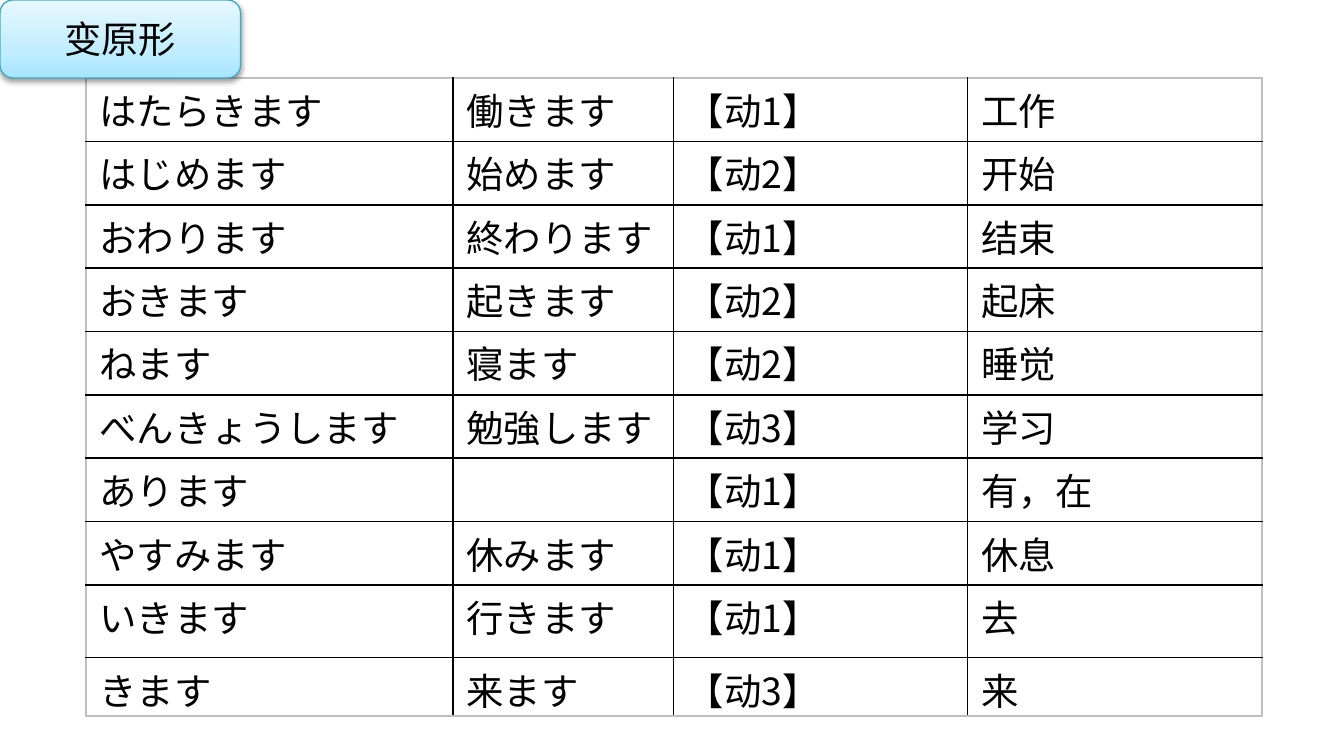
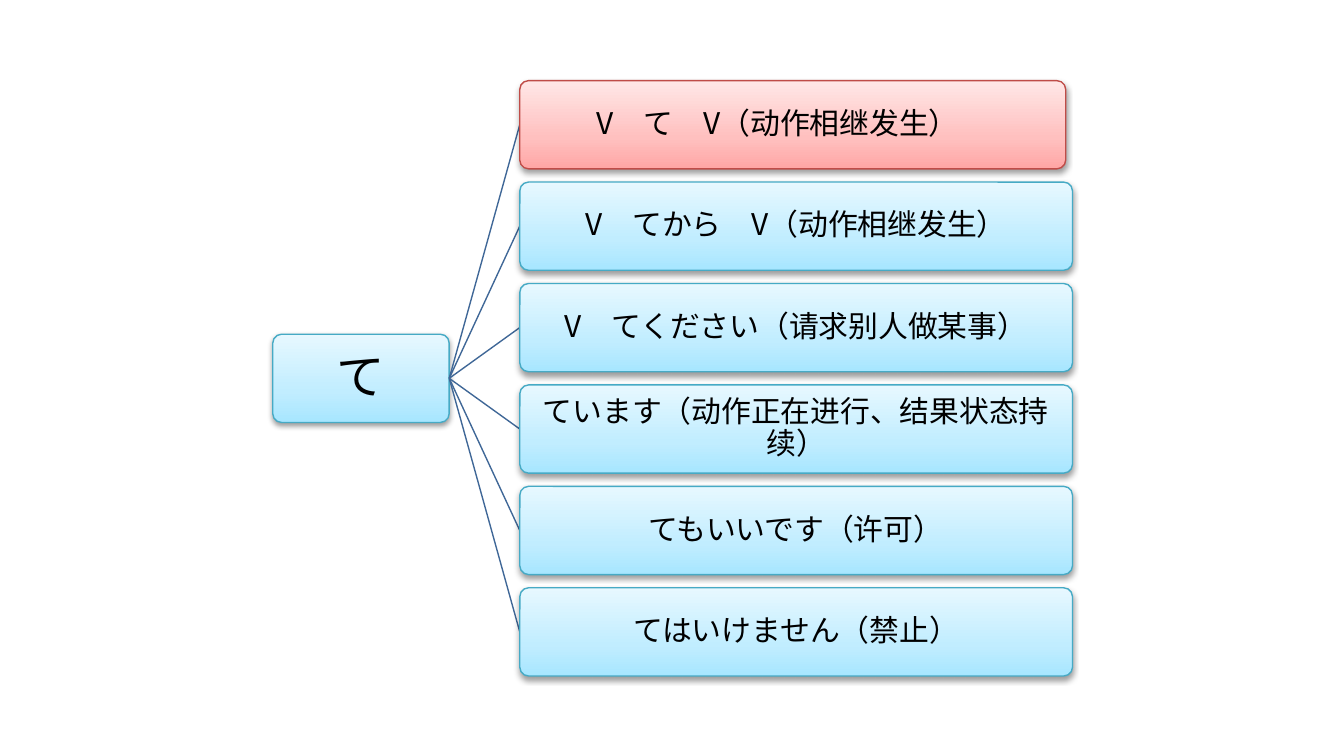
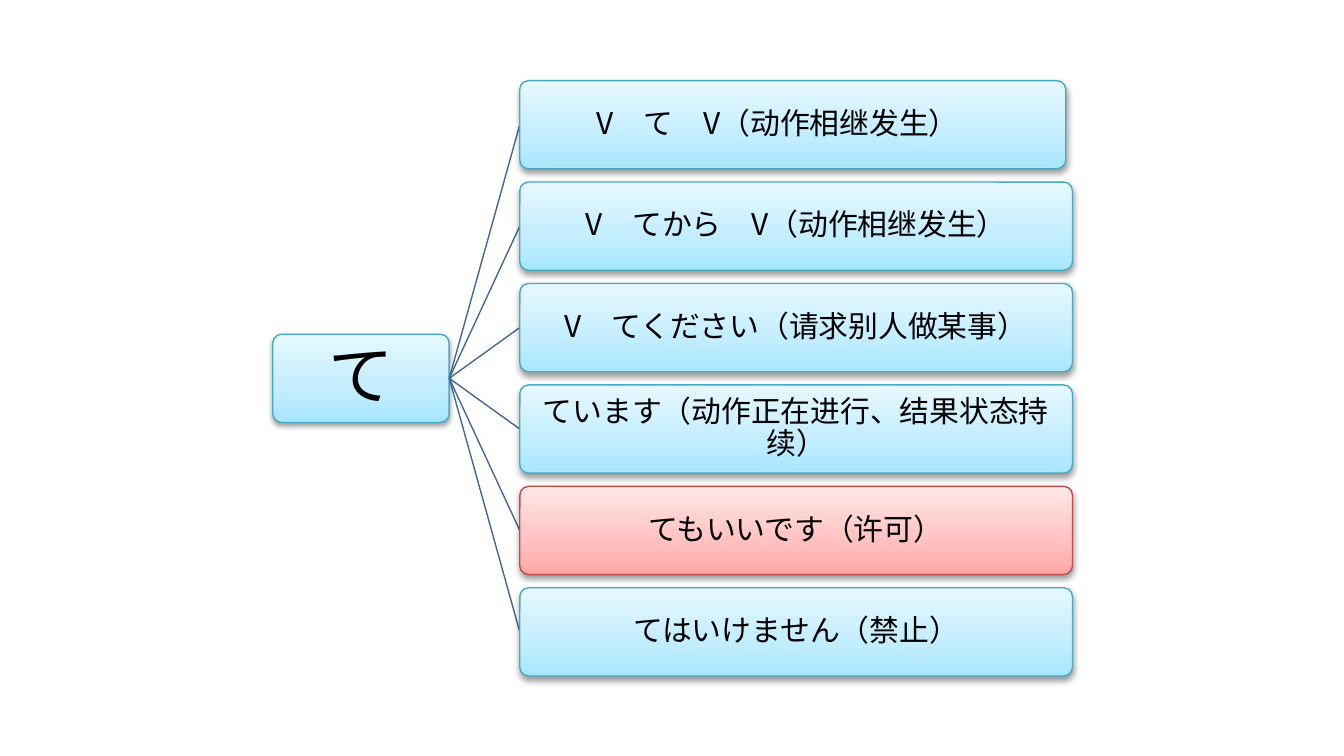
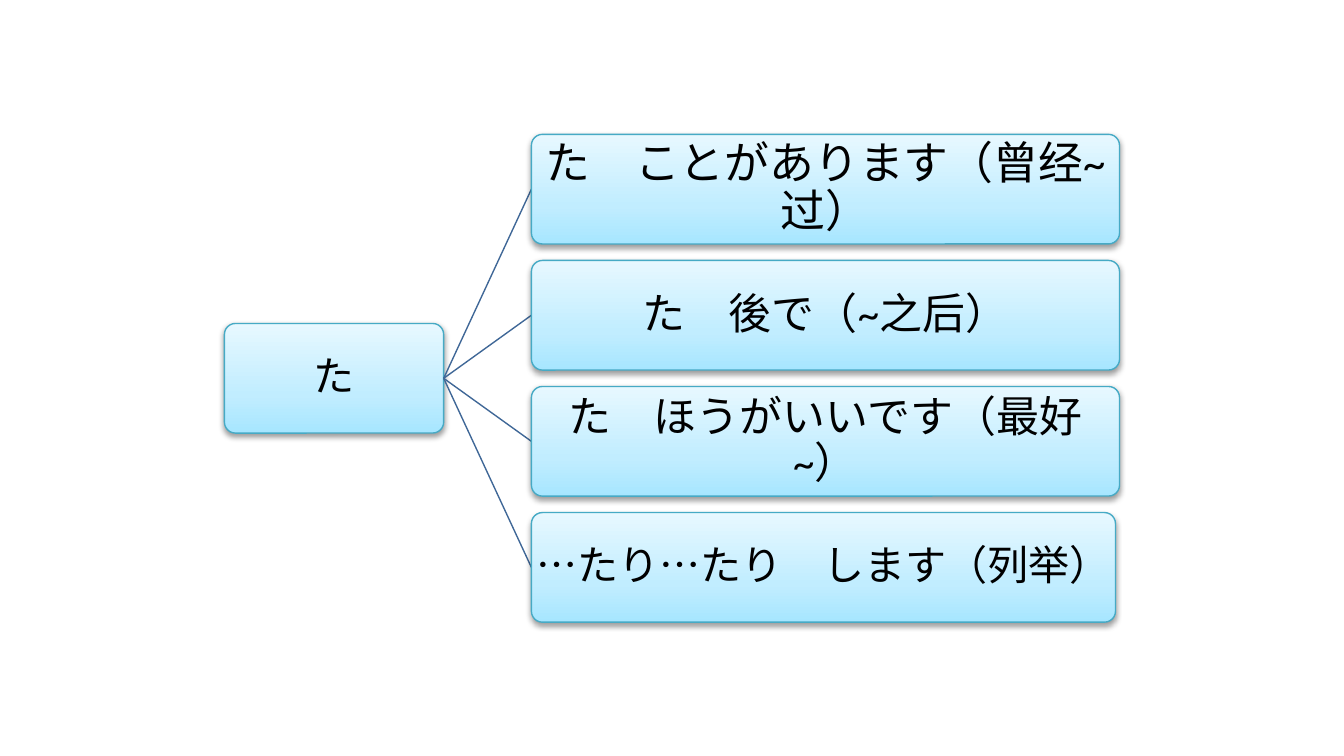
from dataclasses import dataclass

from pptx import Presentation
from pptx.dml.color import RGBColor
from pptx.enum.shapes import MSO_CONNECTOR, MSO_SHAPE
from pptx.enum.text import MSO_ANCHOR, PP_ALIGN
from pptx.oxml import parse_xml
from pptx.oxml.ns import nsdecls, qn
from pptx.util import Inches, Pt
from lxml.etree import SubElement

# The slide is a grid of square cells, 100 columns by 56.25 rows.
CELL = Inches(0.1)
COLUMNS, ROWS = 100, 56.25


@dataclass(frozen=True)
class Finish:
    """Gradient from bottom to top, and outline."""
    bottom: str
    middle: str
    top: str
    outline: str


@dataclass(frozen=True)
class Theme:
    plain: Finish = Finish("A7E6FF", "C1EDFF", "E7F8FF", "46AAC5")
    marked: Finish = Finish("FFA6A5", "FFC0BF", "FFE7E7", "BF4C48")
    ink: str = "000000"
    frame: str = "BFBFBF"
    link: str = "3F6797"
    cjk: str = "Noto Sans CJK SC"
    latin: str = "Calibri"
    body_size: int = 20
    branch_size: int = 16
    outline_width: float = 0.75
    rule_width: float = 1


THEME = Theme()


@dataclass(frozen=True)
class Box:
    left: float
    top: float
    width: float
    height: float

    @property
    def middle(self):
        return self.top + self.height / 2

    @property
    def right(self):
        return self.left + self.width

    def place(self):
        return [grid(n) for n in (self.left, self.top, self.width, self.height)]


@dataclass(frozen=True)
class Label:
    text: str
    size: float = THEME.branch_size
    font: str = THEME.cjk
    trim: float = 0  # columns taken off the right of its box


def grid(cells):
    return round(cells * CELL)


def add_span(para, text, size, font):
    span = para.add_run()
    span.text = text
    span.font.size = Pt(size)
    span.font.name = font
    span.font.color.rgb = RGBColor.from_string(THEME.ink)
    SubElement(span.font._element, qn("a:ea")).set("typeface", THEME.cjk)


def add_glossy_box(page, box, finish, label, corner=None, inset=0.1):
    shape = page.shapes.add_shape(MSO_SHAPE.ROUNDED_RECTANGLE, *box.place())
    if corner is not None:
        shape.adjustments[0] = corner
    shape.line.color.rgb = RGBColor.from_string(finish.outline)
    shape.line.width = Pt(THEME.outline_width)

    stops = "".join(
        f'<a:gs pos="{share * 1000}"><a:srgbClr val="{colour}"/></a:gs>'
        for share, colour in ((0, finish.bottom), (35, finish.middle), (100, finish.top)))
    properties = shape._element.spPr
    properties.find(qn("a:ln")).addprevious(parse_xml(
        f'<a:gradFill {nsdecls("a")} rotWithShape="1"><a:gsLst>{stops}</a:gsLst>'
        '<a:lin ang="16200000" scaled="0"/></a:gradFill>'))
    properties.append(parse_xml(
        f'<a:effectLst {nsdecls("a")}><a:outerShdw blurRad="{Pt(3.1)}" dist="{Pt(1.6)}" '
        f'dir="5400000" rotWithShape="0"><a:srgbClr val="{THEME.ink}">'
        '<a:alpha val="38000"/></a:srgbClr></a:outerShdw></a:effectLst>'))

    frame = shape.text_frame
    frame.word_wrap = True
    frame.vertical_anchor = MSO_ANCHOR.MIDDLE
    frame.margin_left = frame.margin_right = Inches(inset)
    frame.margin_top = frame.margin_bottom = Inches(inset)
    para = frame.paragraphs[0]
    para.alignment = PP_ALIGN.CENTER
    add_span(para, label.text, label.size, label.font)
    return para


def add_link(page, start, end):
    link = page.shapes.add_connector(
        MSO_CONNECTOR.STRAIGHT, *[grid(n) for n in (*start, *end)])
    link.line.color.rgb = RGBColor.from_string(THEME.link)
    link.line.width = Pt(THEME.outline_width)
    SubElement(link._element.spPr, qn("a:effectLst"))


def add_tree(page, box, root, branches, marked=None):
    """A root on the left, linked to a column of branches that fills the box."""
    gap_share = 0.15
    count = len(branches)
    height = box.height / (count + gap_share * (count - 1))
    pitch = height * (1 + gap_share)
    root_box = Box(box.left, box.middle - height / 2, 2 * height, height)
    branch_left = root_box.right + 0.8 * height

    def add_node(node_box, finish, label):
        para = add_glossy_box(page, node_box, finish, label, corner=0.1, inset=0.01)
        para.line_spacing = 0.9
        para.space_after = Pt(round(label.size * 0.35, 1))

    add_node(root_box, THEME.plain, root)
    for index, label in enumerate(branches):
        branch_box = Box(branch_left, box.top + index * pitch,
                         box.right - branch_left - label.trim, height)
        add_link(page, (root_box.right, root_box.middle), (branch_left, branch_box.middle))
        add_node(branch_box, THEME.marked if index == marked else THEME.plain, label)


def set_borders(cell, colours):
    """Colours come in the order left, right, top, bottom."""
    properties = cell._tc.get_or_add_tcPr()
    for side, colour in zip("LRTB", colours):
        properties.append(parse_xml(
            f'<a:ln{side} {nsdecls("a")} w="{Pt(THEME.rule_width)}"><a:solidFill>'
            f'<a:srgbClr val="{colour}"/></a:solidFill></a:ln{side}>'))


def add_word_table(page, box, words, widths, heights):
    table = page.shapes.add_table(len(words), len(widths), *box.place()).table
    table.first_row = table.horz_banding = False
    for column, width in zip(table.columns, widths):
        column.width = grid(width)
    for row, height in zip(table.rows, heights):
        row.height = grid(height)
    last_row, last_column = len(words) - 1, len(widths) - 1
    for r, entry in enumerate(words):
        for c, text in enumerate(entry):
            cell = table.cell(r, c)
            on_edge = (c == 0, c == last_column, r == 0, r == last_row)
            set_borders(cell, [THEME.frame if edge else THEME.ink for edge in on_edge])
            cell.fill.background()
            cell.margin_left = cell.margin_right = Inches(0.1)
            cell.margin_top, cell.margin_bottom = Inches(0.03), 0
            if text:
                add_span(cell.text_frame.paragraphs[0], text, THEME.body_size, THEME.cjk)


VERBS = [
    ("はたらきます", "働きます", 1, "工作"),
    ("はじめます", "始めます", 2, "开始"),
    ("おわります", "終わります", 1, "结束"),
    ("おきます", "起きます", 2, "起床"),
    ("ねます", "寝ます", 2, "睡觉"),
    ("べんきょうします", "勉強します", 3, "学习"),
    ("あります", "", 1, "有，在"),
    ("やすみます", "休みます", 1, "休息"),
    ("いきます", "行きます", 1, "去"),
    ("きます", "来ます", 3, "来"),
]

TE_BRANCHES = [
    Label("V　て　V（动作相继发生）　", trim=0.5),
    Label("V　てから　V（动作相继发生）"),
    Label("V　てください（请求别人做某事）"),
    Label("ています（动作正在进行、结果状态持续）"),
    Label("てもいいです（许可）"),
    Label("てはいけません（禁止）"),
]

TA_BRANCHES = [
    Label("た　ことがあります（曾经~过）", 24, THEME.latin),
    Label("た　後で（~之后）", 23, THEME.latin),
    Label("た　ほうがいいです（最好~）", 23, THEME.latin),
    Label("…たり…たり　します（列举）", 22, THEME.latin, trim=0.3),
]

TE_BOX = Box(20.3, 6, 59.5, 44.3)
TA_BOX = Box(16.7, 10, 66.6, 36.3)


def build_verb_page(page):
    words = [(kana, kanji, f"【动{group}】", meaning)
             for kana, kanji, group, meaning in VERBS]
    add_word_table(page, Box(6.4, 5.8, 87.5, 47.5), words,
                   widths=[27.3, 16.4, 21.9, 21.9],
                   heights=[4.72] * 8 + [5.4, 4.3])
    add_glossy_box(page, Box(0, 0, 17.9, 5.8), THEME.plain,
                   Label("变原形", THEME.body_size), inset=0.05)


def main():
    deck = Presentation()
    deck.slide_width, deck.slide_height = grid(COLUMNS), grid(ROWS)
    blank = deck.slide_layouts[6]

    build_verb_page(deck.slides.add_slide(blank))
    add_tree(deck.slides.add_slide(blank), TE_BOX,
             Label("て", 26), TE_BRANCHES, marked=0)
    add_tree(deck.slides.add_slide(blank), TE_BOX,
             Label("て", 35, THEME.latin), TE_BRANCHES, marked=4)
    add_tree(deck.slides.add_slide(blank), TA_BOX,
             Label("た", 22, THEME.latin), TA_BRANCHES)
    deck.save("out.pptx")


if __name__ == "__main__":
    main()
